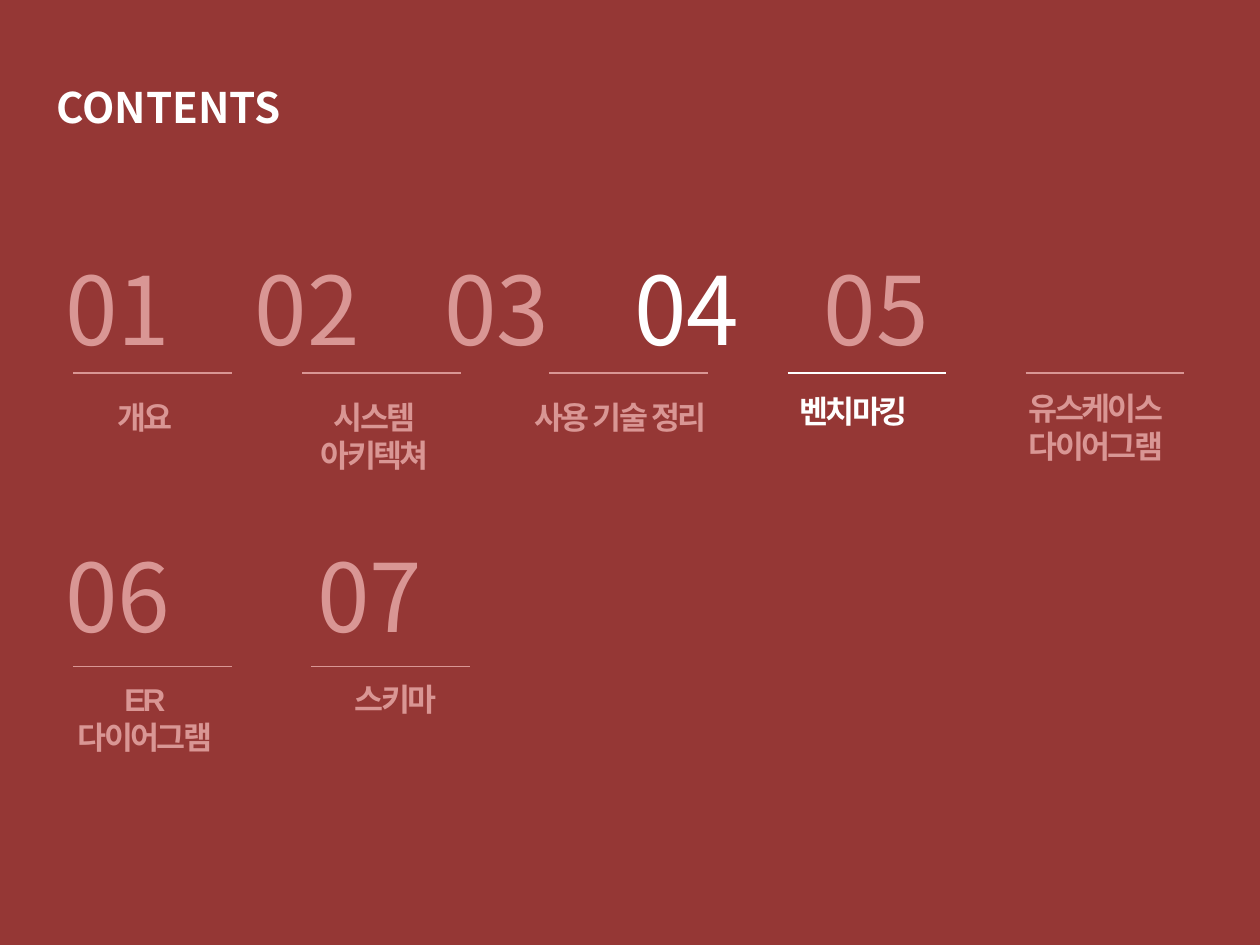
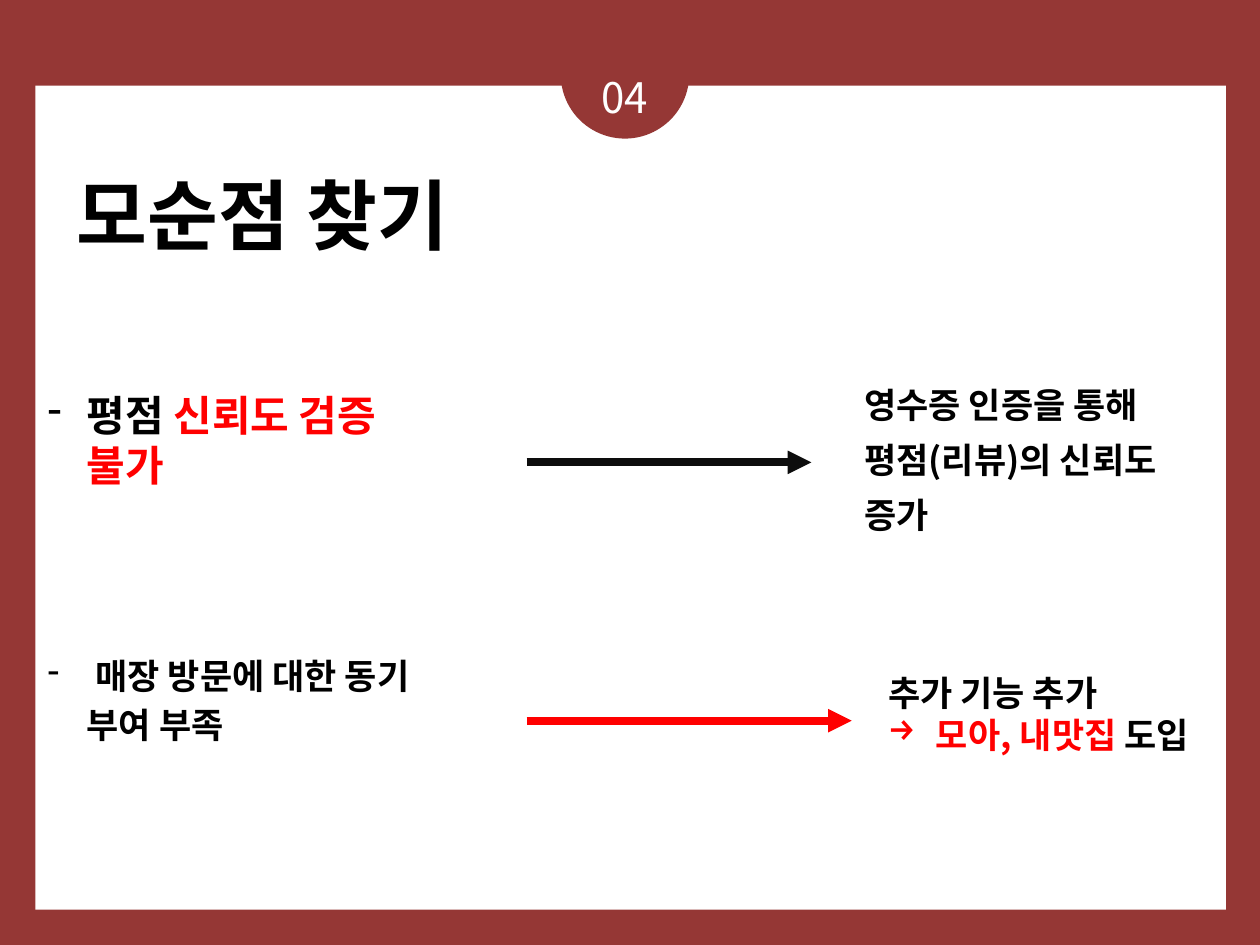
"""Two slides: a contents page and a page of weak points with their fixes."""
from dataclasses import dataclass, field
from typing import Any

from lxml import etree
from pptx import Presentation, util as u
from pptx.dml.color import RGBColor
from pptx.enum import shapes, text
from pptx.oxml import ns

WINE = RGBColor(0x95, 0x37, 0x35)
ROSE = RGBColor(0xD9, 0x96, 0x94)
WHITE = RGBColor(0xFF, 0xFF, 0xFF)
BLACK = RGBColor(0, 0, 0)
COAL = RGBColor(0x0D, 0x0D, 0x0D)
RED = RGBColor(0xFF, 0, 0)

NOTO, ARIAL = "Noto Sans CJK KR", "Arial"
LEFT, MID = text.PP_ALIGN.LEFT, text.PP_ALIGN.CENTER
JUST = text.PP_ALIGN.JUSTIFY

# The slide is a grid of 100 columns by 75 rows.
COLS, ROWS = 100, 75
deck = Presentation()
deck.slide_width, deck.slide_height = u.Inches(10), u.Inches(7.5)
COL, ROW = deck.slide_width / COLS, deck.slide_height / ROWS


@dataclass
class Box:
    """A place on the grid, in columns and rows."""
    x: float
    y: float
    w: float
    h: float

    def emu(self) -> tuple[int, int, int, int]:
        """Give left, top, width and height in EMU."""
        return (round(self.x * COL), round(self.y * ROW),
                round(self.w * COL), round(self.h * ROW))


@dataclass
class Style:
    """The look of a text block; lead is the line pitch per point of size."""
    size: float
    bold: bool = True
    name: str = NOTO
    align: Any = LEFT
    lead: float = 1.2
    before: float = 0
    track: int = 0


@dataclass
class Para:
    """Runs of (words, colour), with an indent in columns and a bullet."""
    runs: list
    indent: float = 0
    bullet: str = ""


@dataclass
class Item:
    """One entry of the contents: number, rule and label."""
    num: str
    num_x: float
    rule_x: float
    label: list
    box: Box
    color: RGBColor = field(default=ROSE)


HEAD = Style(24)
NUM = Style(54, bold=False)
LABEL = Style(18, name=ARIAL, align=MID, lead=0, track=-150)
BADGE = Style(24, bold=False, align=MID)
TITLE = Style(44, align=JUST)
BIG = Style(24)
BODY = Style(20)
LOOSE = Style(20, before=4)
WIDE = Style(20, lead=1.07, before=10)


def page() -> Any:
    """Add a blank slide with the shared background."""
    slide = deck.slides.add_slide(deck.slide_layouts[6])
    slide.background.fill.solid()
    slide.background.fill.fore_color.rgb = WINE
    return slide


def sub(node: Any, tag: str, **attrs: str) -> Any:
    """Append a drawing element to a node."""
    return etree.SubElement(node, ns.qn(tag), attrs)


def fill_para(para: Any, data: Para, style: Style) -> None:
    """Write one paragraph in a style."""
    look = {"alignment": style.align}
    if style.lead:
        look["line_spacing"] = u.Pt(round(style.size * style.lead, 1))
    if style.before:
        look["space_before"] = u.Pt(style.before)
    for key, val in look.items():
        setattr(para, key, val)
    props = para._p.get_or_add_pPr()
    if data.indent:
        step = round(data.indent * COL)
        props.set("marL", str(step))
        props.set("indent", str(-step if data.bullet else 0))
    if data.bullet:
        sub(props, "a:buFontTx")
        sub(props, "a:buChar", char=data.bullet)
    for words, color in data.runs:
        run = para.add_run()
        run.text = words
        font = {"size": u.Pt(style.size), "bold": style.bold,
                "name": style.name}
        for key, val in font.items():
            setattr(run.font, key, val)
        run.font.color.rgb = color
        rpr = run._r.get_or_add_rPr()
        sub(rpr, "a:ea", typeface=style.name)
        if style.track:
            rpr.set("spc", str(style.track))


def write(slide: Any, box: Box, paras: list, style: Style,
          wrap: bool = True) -> None:
    """Add a text box holding the paragraphs."""
    frame = slide.shapes.add_textbox(*box.emu()).text_frame
    frame.word_wrap = wrap
    for i, data in enumerate(paras):
        para = frame.add_paragraph() if i else frame.paragraphs[0]
        fill_para(para, data, style)


def rule(slide: Any, x: float, y: float, w: float, color: RGBColor,
         width: float, arrow: bool = False) -> None:
    """Draw a level line, with an arrowhead on request."""
    a, b, c, _ = Box(x, y, w, 0).emu()
    line = slide.shapes.add_connector(shapes.MSO_CONNECTOR.STRAIGHT,
                                      a, b, a + c, b)
    line.line.color.rgb = color
    line.line.width = u.Pt(width)
    props = line._element.spPr
    if arrow:
        sub(props.find(ns.qn("a:ln")), "a:tailEnd", type="triangle")
    sub(props, "a:effectLst")


def block(slide: Any, kind: Any, box: Box, color: RGBColor) -> None:
    """Add a plain filled shape."""
    shape = slide.shapes.add_shape(kind, *box.emu())
    shape.shadow.inherit = False
    shape.fill.solid()
    shape.fill.fore_color.rgb = color
    shape.line.fill.background()


def contents(slide: Any) -> None:
    """Draw the list of chapters in two rows."""
    write(slide, Box(3.5, 6, 45.7, 5), [Para([("CONTENTS", WHITE)])], HEAD)
    left, gap, start, step = 4.2, 15.05, 5.8, 18.9
    upper = [
        Item("01", left, start, ["개요"], Box(4, 31.1, 15, 4)),
        Item("02", left + gap, 24, ["시스템", "아키텍쳐"],
             Box(20.7, 31.1, 18.1, 7.1)),
        Item("03", left + 2 * gap, start + 2 * step, ["사용 기술 정리"],
             Box(39, 31.1, 20.5, 4)),
        Item("04", left + 3 * gap, start + 3 * step, [" 벤치마킹"],
             Box(55.5, 30.6, 24, 4), WHITE),
        Item("05", left + 4 * gap, start + 4 * step,
             ["유스케이스", "다이어그램"], Box(79.5, 30.4, 15, 7.1)),
    ]
    lower = [
        Item("06", left, start, ["ER", "다이어그램"],
             Box(4, 53.5, 15, 7.1)),
        Item("07", left + 20, start + step, ["스키마"],
             Box(23.9, 53.5, 15, 4)),
    ]
    for items, top, base in ((upper, 19.4, 29.6), (lower, 42.2, 52.9)):
        for it in items:
            write(slide, Box(it.num_x, top, 12, 10.1),
                  [Para([(it.num, it.color)])], NUM)
            rule(slide, it.rule_x, base, 12.6, it.color, 0.75)
            write(slide, it.box, [Para([(row, it.color)])
                                  for row in it.label], LABEL)


def chapter(slide: Any, num: str, title: str) -> None:
    """Draw the white sheet, the number badge and the title."""
    kind = shapes.MSO_SHAPE
    block(slide, kind.RECTANGLE, Box(2.8, 6.8, 94.5, 65.4), WHITE)
    block(slide, kind.OVAL, Box(44.5, 0.8, 10.2, 10.2), WINE)
    write(slide, Box(43.7, 5.2, 11.8, 5), [Para([(num, WHITE)])], BADGE)
    write(slide, Box(5.1, 12.8, 38.6, 9.8), [Para([(title, BLACK)])], TITLE)


def flaws(slide: Any) -> None:
    """Draw each weak point, its arrow and its fix."""
    write(slide, Box(2.8, 30.4, 34.6, 9),
          [Para([("평점 ", BLACK), ("신뢰도 검증 불가", RED)], 3.1, "-")], BIG)
    write(slide, Box(2.8, 51.45, 34.6, 8.5),
          [Para([("매장 방문에 대한 동기", BLACK)], 3.8, "-"),
           Para([("부여 부족", BLACK)], 3.1)], LOOSE)
    rule(slide, 41.8, 36.7, 22.6, COAL, 4.5, True)
    rule(slide, 41.8, 57.2, 25.8, RED, 4.5, True)
    fix = ["영수증 인증을 통해", "평점(리뷰)의 신뢰도", "증가"]
    write(slide, Box(67.6, 30.3, 28.3, 12.9),
          [Para([(row, BLACK)]) for row in fix], WIDE)
    write(slide, Box(69.5, 52.8, 28.1, 7.7),
          [Para([("추가 기능 추가", BLACK)]),
           Para([("모아, 내맛집 ", RED), ("도입", BLACK)], 3.8, "→")],
          BODY, wrap=False)


contents(page())
sheet = page()
chapter(sheet, "04", "모순점 찾기")
flaws(sheet)
deck.save("out.pptx")
